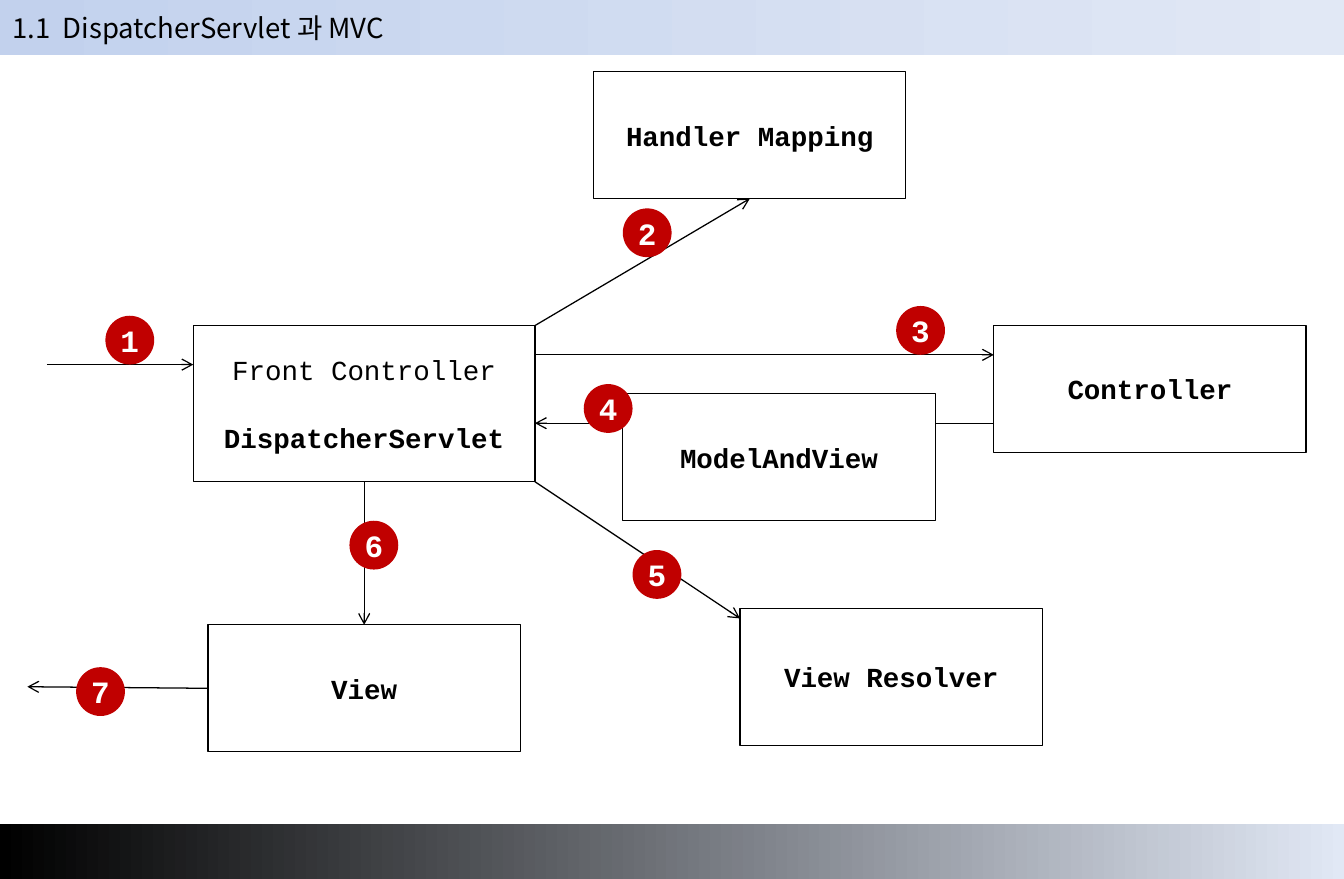
from lxml import etree
from pptx import Presentation
from pptx.dml.color import RGBColor
from pptx.enum.shapes import MSO_CONNECTOR, MSO_SHAPE
from pptx.enum.text import MSO_ANCHOR, MSO_AUTO_SIZE, PP_ALIGN
from pptx.oxml.ns import qn
from pptx.util import Inches, Mm, Pt

RECT, OVAL = MSO_SHAPE.RECTANGLE, MSO_SHAPE.OVAL
STRAIGHT = MSO_CONNECTOR.STRAIGHT
MIDDLE, NO_FIT = MSO_ANCHOR.MIDDLE, MSO_AUTO_SIZE.NONE
LEFT, CENTER = PP_ALIGN.LEFT, PP_ALIGN.CENTER
TOP_SITE, LEFT_SITE, BOTTOM_SITE = 0, 1, 2

W, H = Inches(10.84), Inches(7.09)
BAND_H = H // 16
CELL = Mm(2)
GRID_LEFT, GRID_TOP = Mm(-0.4), Mm(0.7)
BOX_W, BOX_H, BADGE = 32, 13, 5
BLACK, WHITE, RED, PALE = "000000", "FFFFFF", "C00000", "E1E8F5"
MONO, SANS = "Courier New", "Noto Sans CJK KR"

BADGES = [(11, 32), (64, 21), (92, 31), (60, 39), (65, 56), (36, 53), (8, 68)]


def color(value):
    return RGBColor.from_string(value)


def point(col, row):
    return int(GRID_LEFT + col * CELL), int(GRID_TOP + row * CELL)


def write(p, text, size=16, font=MONO, fill=BLACK, bold=False, align=CENTER, before=0):
    p.alignment = align
    p.space_before = Pt(before)
    r = p.add_run()
    r.text = text
    r.font.size = Pt(size)
    r.font.name = font
    r.font.bold = bold
    r.font.color.rgb = color(fill)
    etree.SubElement(r.font._element, qn("a:ea")).set("typeface", font)


def add_band(s, top, start):
    sp = s.shapes.add_shape(RECT, 0, top, W, BAND_H)
    sp.shadow.inherit = False
    sp.line.fill.background()
    sp.fill.gradient()
    sp.fill.gradient_angle = 0
    for stop, value in zip(sp.fill.gradient_stops, (start, PALE)):
        stop.color.rgb = color(value)
    s.shapes.title._element.addprevious(sp._element)


def add_title(s, text):
    title = s.shapes.title
    title.left, title.top = 0, BAND_H // 12
    title.width, title.height = W, BAND_H * 5 // 6
    tf = title.text_frame
    tf.auto_size = NO_FIT
    tf.vertical_anchor = MIDDLE
    write(tf.paragraphs[0], text, font=SANS, align=LEFT)


def add_node(s, kind, col, row, cols, rows, fill, line=None):
    sp = s.shapes.add_shape(kind, *point(col, row), int(cols * CELL), int(rows * CELL))
    sp.shadow.inherit = False
    sp.fill.solid()
    sp.fill.fore_color.rgb = color(fill)
    if line:
        sp.line.color.rgb = color(line)
        sp.line.width = Pt(0.75)
    else:
        sp.line.fill.background()
    tf = sp.text_frame
    tf.margin_left = tf.margin_right = tf.margin_top = tf.margin_bottom = 0
    tf.vertical_anchor = MIDDLE
    return sp


def add_box(s, name, col, row, cols=BOX_W, rows=BOX_H, role=None):
    sp = add_node(s, RECT, col, row, cols, rows, WHITE, BLACK)
    tf = sp.text_frame
    p = tf.paragraphs[0]
    if role:
        write(p, role)
        p = tf.add_paragraph()
    write(p, name, bold=True, before=20 if role else 0)
    return sp


def add_badge(s, number, col, row):
    sp = add_node(s, OVAL, col, row, BADGE, BADGE, RED)
    write(sp.text_frame.paragraphs[0], str(number), size=18, fill=WHITE, bold=True)


def add_arrow(s, start, end, begin_at=None, end_at=None):
    cx = s.shapes.add_connector(STRAIGHT, *point(*start), *point(*end))
    if begin_at:
        cx.begin_connect(*begin_at)
    if end_at:
        cx.end_connect(*end_at)
    cx.line.color.rgb = color(BLACK)
    cx.line.width = Pt(0.75)
    etree.SubElement(cx.line._get_or_add_ln(), qn("a:tailEnd")).set("type", "arrow")
    etree.SubElement(cx._element.spPr, qn("a:effectLst"))


def main():
    prs = Presentation()
    prs.slide_width, prs.slide_height = W, H
    s = prs.slides.add_slide(prs.slide_layouts[5])

    add_band(s, 0, "C2D1ED")
    add_band(s, H - BAND_H, BLACK)
    add_title(s, "1.1  DispatcherServlet 과 MVC")

    front = add_box(s, "DispatcherServlet", 20, 33, 35, 16, role="Front Controller")
    add_box(s, "Controller", 102, 33)
    add_box(s, "View Resolver", 76, 62, 31, 14)
    view = add_box(s, "View", 21.5, 63.66)
    handler = add_box(s, "Handler Mapping", 61, 7)

    add_arrow(s, (5, 37), (20, 37))
    add_arrow(s, (55, 33), (77, 20), end_at=(handler, BOTTOM_SITE))
    add_arrow(s, (55, 36), (102, 36))
    add_arrow(s, (102, 43), (55, 43))
    add_arrow(s, (55, 49), (76, 63))
    add_arrow(s, (37.5, 49), (37.5, 63.66), (front, BOTTOM_SITE), (view, TOP_SITE))
    add_arrow(s, (21.5, 70.16), (3, 70), begin_at=(view, LEFT_SITE))

    add_box(s, "ModelAndView", 64, 40)
    for number, (col, row) in enumerate(BADGES, 1):
        add_badge(s, number, col, row)

    prs.save("out.pptx")


if __name__ == "__main__":
    main()
